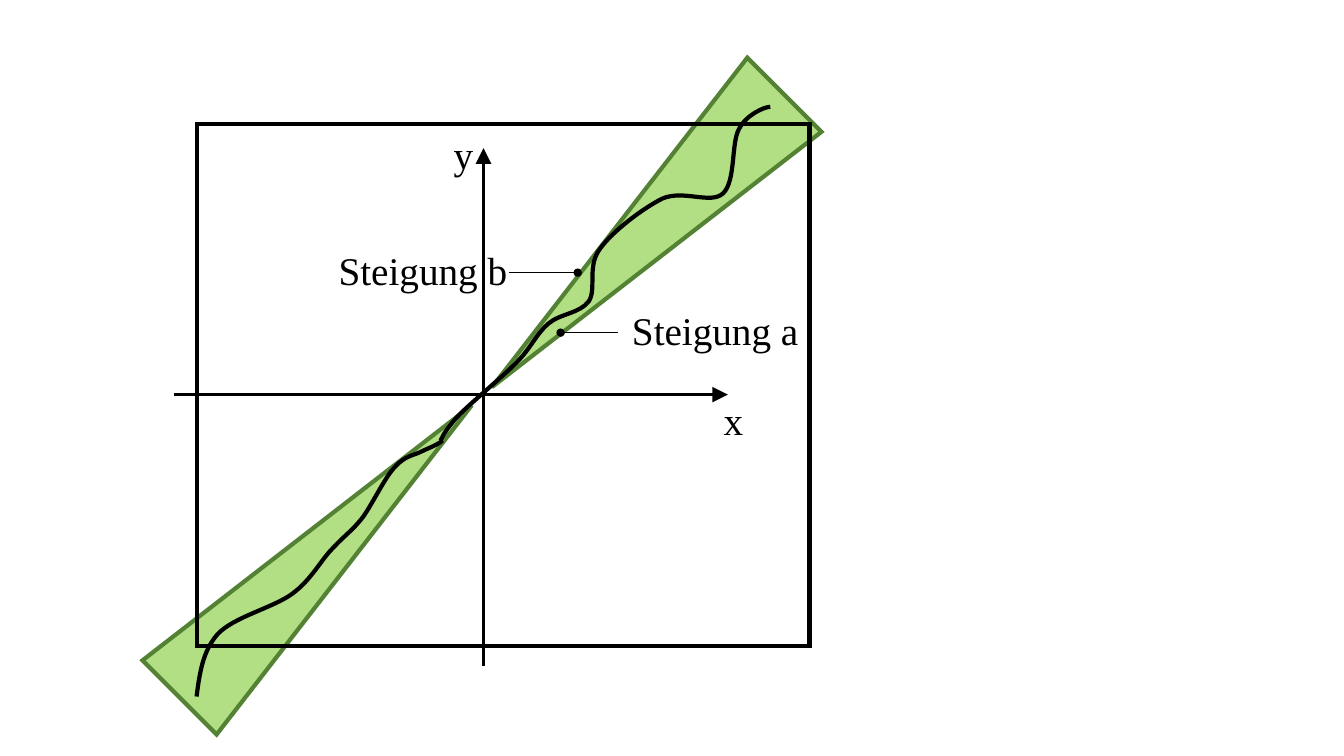
from dataclasses import dataclass

from pptx import Presentation
from pptx.dml.color import RGBColor
from pptx.enum.shapes import MSO_CONNECTOR, MSO_SHAPE
from pptx.enum.text import MSO_AUTO_SIZE
from pptx.oxml.ns import qn
from pptx.util import Inches, Pt
from lxml.etree import SubElement

BLACK = "000000"
LEAF = "92D050"
FOREST = "548235"
FONT = "Times New Roman"

LOWER_CURVE = [
    (-28.4, -29.9),
    (-28.1, -27.6), (-27.8, -25.4), (-26.3, -23.7),
    (-24.7, -22), (-20.8, -21.1), (-18.9, -19.7),
    (-17, -18.3), (-16.1, -16.4), (-14.9, -15.2),
    (-13.7, -13.9), (-12.9, -13.4), (-11.9, -12.1),
    (-10.9, -10.7), (-9.7, -8.1), (-8.7, -7.1),
    (-7.7, -6), (-6.9, -6), (-6.1, -5.6),
    (-5.3, -5.2), (-4.6, -5), (-4, -4.5),
]
UPPER_CURVE = [
    (-4.2, -4.5),
    (-3.9, -3.9), (-3.6, -3.3), (-2.4, -2),
    (-1.1, -0.7), (1.8, 1.7), (3.3, 3.2),
    (4.8, 4.7), (5.3, 6.1), (6.5, 7.1),
    (7.7, 8.1), (9.6, 8.1), (10.5, 9.3),
    (11.3, 10.5), (10.3, 12.8), (11.6, 14.5),
    (12.8, 16.2), (15.8, 18.5), (17.8, 19.5),
    (19.9, 20.4), (22.6, 18.9), (23.8, 20),
    (25.1, 21.2), (24.6, 25), (25.4, 26.4),
    (26.1, 27.8), (27.9, 28.6), (28.5, 28.6),
]


@dataclass
class Plane:
    left: int
    top: int
    width: int
    height: int
    columns: float = 60.8
    rows: float = 51.8
    origin_column: float = 28.4
    origin_row: float = 26.9

    def size(self, columns, rows):
        return (round(columns * self.width / self.columns),
                round(rows * self.height / self.rows))

    def at(self, x, y):
        across, down = self.size(self.origin_column + x, self.origin_row - y)
        return self.left + across, self.top + down


def rgb(colour):
    return RGBColor.from_string(colour)


def outline(shape, colour, weight):
    shape.line.color.rgb = rgb(colour)
    shape.line.width = Pt(weight)
    line = shape.element.spPr.find(qn("a:ln"))
    SubElement(line, qn("a:miter")).set("lim", "800000")
    return line


def add_wedge(shapes, plane, centre, rotation):
    columns, rows = 10.4, 41
    corner = plane.at(centre[0] - columns / 2, centre[1] + rows / 2)
    wedge = shapes.add_shape(
        MSO_SHAPE.ISOSCELES_TRIANGLE, *corner, *plane.size(columns, rows))
    wedge.rotation = rotation
    wedge.shadow.inherit = False
    wedge.fill.solid()
    wedge.fill.fore_color.rgb = rgb(LEAF)
    tint = wedge.element.spPr.find(qn("a:solidFill")).find(qn("a:srgbClr"))
    SubElement(tint, qn("a:alpha")).set("val", "70000")
    outline(wedge, FOREST, 3)


def add_pointer(shapes, plane, tip, end, weight, head, head_size):
    pointer = shapes.add_connector(
        MSO_CONNECTOR.STRAIGHT, *plane.at(*tip), *plane.at(*end))
    mark = SubElement(outline(pointer, BLACK, weight), qn("a:headEnd"))
    for name, value in (("type", head), ("w", head_size), ("len", head_size)):
        mark.set(name, value)
    SubElement(pointer.element.spPr, qn("a:effectLst"))


def add_curve(shapes, plane, controls):
    start, *bends = [plane.at(*control) for control in controls]
    builder = shapes.build_freeform(*start)
    builder.add_line_segments(bends, close=False)
    curve = builder.convert_to_shape()
    segments = list(curve.element.spPr.iter(qn("a:lnTo")))
    for first in range(0, len(segments), 3):
        bend, *others = segments[first:first + 3]
        bend.tag = qn("a:cubicBezTo")
        for other in others:
            bend.append(other[0])
            other.getparent().remove(other)
    curve.shadow.inherit = False
    curve.fill.background()
    outline(curve, BLACK, 3)


def add_label(shapes, plane, words, corner, columns):
    label = shapes.add_textbox(*plane.at(*corner), *plane.size(columns, 5.7))
    frame = label.text_frame
    frame.word_wrap = False
    frame.auto_size = MSO_AUTO_SIZE.SHAPE_TO_FIT_TEXT
    frame.text = words
    font = frame.paragraphs[0].runs[0].font
    font.name, font.size = FONT, Pt(28)
    font.color.rgb = rgb(BLACK)


def add_border(shapes, plane):
    border = shapes.add_shape(
        MSO_SHAPE.RECTANGLE, plane.left, plane.top, plane.width, plane.height)
    border.shadow.inherit = False
    border.fill.background()
    outline(border, BLACK, 3)


def add_graph(shapes, plane):
    add_pointer(shapes, plane, (24.3, 0.05), (-30.6, 0.05), 2.25, "triangle", "lg")
    add_pointer(shapes, plane, (0.05, 24.5), (0.05, -26.9), 2.25, "triangle", "lg")
    for controls in (LOWER_CURVE, UPPER_CURVE):
        add_curve(shapes, plane, controls)


def add_sector_diagram(slide, plane):
    shapes = slide.shapes
    add_wedge(shapes, plane, (15.4, 15.3), 225)
    add_wedge(shapes, plane, (-15.6, -15.5), 45)
    add_graph(shapes.add_group_shape().shapes, plane)
    add_pointer(shapes, plane, (7.7, 6.2), (13.4, 6.2), 1, "oval", "med")
    add_label(shapes, plane, "Steigung a", (13.8, 9.3), 18.7)
    add_label(shapes, plane, "Steigung b", (-15.3, 15.3), 18.9)
    add_pointer(shapes, plane, (9.4, 12.15), (2.6, 12.15), 1, "oval", "med")
    add_border(shapes, plane)
    add_label(shapes, plane, "x", (22.9, 0.4), 4)
    add_label(shapes, plane, "y", (-3.9, 26.8), 4)


presentation = Presentation()
presentation.slide_width = Inches(13.33)
presentation.slide_height = Inches(7.5)
sector_slide = presentation.slides.add_slide(presentation.slide_layouts[6])
add_sector_diagram(
    sector_slide, Plane(Inches(1.95), Inches(1.23), Inches(6.08), Inches(5.18)))
presentation.save("out.pptx")
